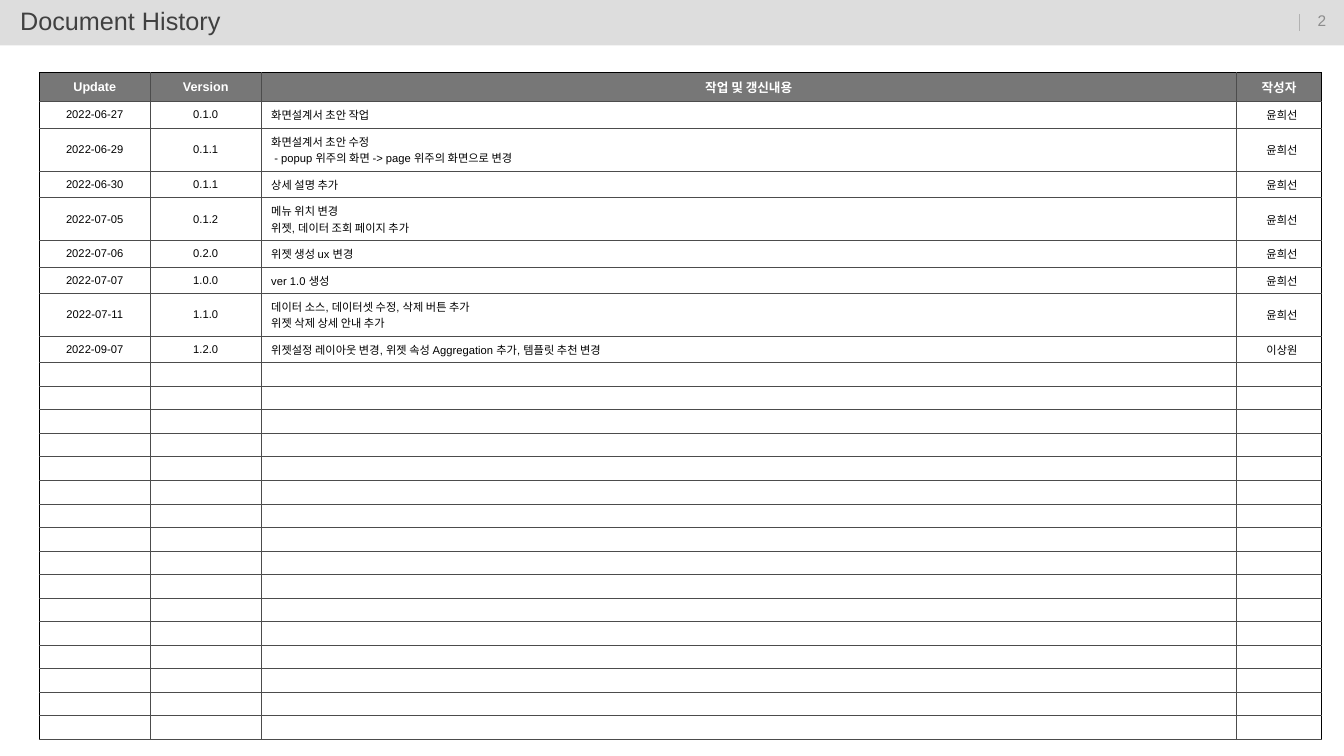
import dataclasses

import lxml.etree
import pptx
import pptx.dml.color
import pptx.enum.shapes
import pptx.enum.text
import pptx.oxml.ns
import pptx.util

HEADING = "Document History"
PAGE_NUMBER = "2"
COLUMNS = [("Update", 1.1), ("Version", 1.1), ("작업 및 갱신내용", 9.67), ("작성자", 0.85)]
REVISIONS = [
    ("2022-06-27", "0.1.0", "화면설계서 초안 작업", "윤희선"),
    ("2022-06-29", "0.1.1", "화면설계서 초안 수정\n - popup 위주의 화면 -> page 위주의 화면으로 변경", "윤희선"),
    ("2022-06-30", "0.1.1", "상세 설명 추가", "윤희선"),
    ("2022-07-05", "0.1.2", "메뉴 위치 변경\n위젯, 데이터 조회 페이지 추가", "윤희선"),
    ("2022-07-06", "0.2.0", "위젯 생성 ux 변경", "윤희선"),
    ("2022-07-07", "1.0.0", "ver 1.0 생성", "윤희선"),
    ("2022-07-11", "1.1.0", "데이터 소스, 데이터셋 수정, 삭제 버튼 추가\n위젯 삭제 상세 안내 추가", "윤희선"),
    ("2022-09-07", "1.2.0", "위젯설정 레이아웃 변경, 위젯 속성 Aggregation 추가, 템플릿 추천 변경", "이상원"),
]
BLANK_ROWS = 16
DETAIL, AUTHOR = 2, 3
HEADER_HEIGHT, BLANK_HEIGHT = 0.29, 0.23
LINE_HEIGHTS = {1: 0.26, 2: 0.43}


@dataclasses.dataclass(frozen=True)
class Theme:
    font: str = "Arial"
    bar: str = "DDDDDD"
    divider: str = "B2B2B2"
    number: str = "8C8C8C"
    heading: str = "404040"
    header_fill: str = "777777"
    header_text: str = "FFFFFF"
    text: str = "000000"
    outer_border: str = "000000"
    inner_border: str = "4C4C4C"
    border_width: float = 0.75
    heading_size: int = 18
    number_size: int = 11
    header_size: int = 9
    body_size: int = 8


THEME = Theme()
Inches = pptx.util.Inches
Pt = pptx.util.Pt
ALIGN = pptx.enum.text.PP_ALIGN
MIDDLE = pptx.enum.text.MSO_ANCHOR.MIDDLE
qn = pptx.oxml.ns.qn


def rgb(value):
    return pptx.dml.color.RGBColor.from_string(value)


def style(paragraph, size, color, align, bold=False):
    paragraph.alignment = align
    paragraph.font.name = THEME.font
    paragraph.font.size = Pt(size)
    paragraph.font.color.rgb = rgb(color)
    paragraph.font.bold = bold


def set_insets(target, left, top, right, bottom):
    target.margin_left, target.margin_top = Inches(left), Inches(top)
    target.margin_right, target.margin_bottom = Inches(right), Inches(bottom)


def draw_border(cell, side, color):
    properties = cell._tc.get_or_add_tcPr()
    edge = lxml.etree.SubElement(properties, qn(f"a:ln{side}"), w=str(Pt(THEME.border_width)))
    fill = lxml.etree.SubElement(edge, qn("a:solidFill"))
    lxml.etree.SubElement(fill, qn("a:srgbClr"), val=color)


def add_heading(slide):
    bar = slide.shapes.add_shape(
        pptx.enum.shapes.MSO_SHAPE.RECTANGLE, 0, 0, Inches(13.33), Inches(0.45))
    bar.shadow.inherit = False
    bar.fill.solid()
    bar.fill.fore_color.rgb = rgb(THEME.bar)
    bar.line.fill.background()

    heading = slide.shapes.title
    heading._element.addprevious(bar._element)
    heading.left, heading.top = 0, 0
    heading.width, heading.height = Inches(12.01), Inches(0.45)
    frame = heading.text_frame
    frame.text = HEADING
    frame.auto_size = pptx.enum.text.MSO_AUTO_SIZE.NONE
    frame.vertical_anchor = MIDDLE
    set_insets(frame, 0.2, 0.05, 0.1, 0.05)
    style(frame.paragraphs[0], THEME.heading_size, THEME.heading, ALIGN.LEFT)
    frame.paragraphs[0].line_spacing = 0.9


def add_page_number(slide):
    divider = slide.shapes.add_connector(
        pptx.enum.shapes.MSO_CONNECTOR.STRAIGHT,
        Inches(12.89), Inches(0.14), Inches(12.89), Inches(0.31))
    divider.line.color.rgb = rgb(THEME.divider)
    divider.line.width = Pt(THEME.border_width)
    lxml.etree.SubElement(divider._element.spPr, qn("a:effectLst"))

    number = slide.shapes.add_textbox(Inches(12.89), 0, Inches(0.44), Inches(0.4))
    number.text_frame.word_wrap = True
    number.text_frame.vertical_anchor = MIDDLE
    number.text_frame.text = PAGE_NUMBER
    style(number.text_frame.paragraphs[0], THEME.number_size, THEME.number, ALIGN.CENTER)


def fill_cell(cell, text, row, column, last_row):
    is_header = row == 0
    cell.text = text
    cell.vertical_anchor = MIDDLE
    if column == AUTHOR:
        side = 0.1 if is_header else 0
        set_insets(cell, side, 0, side, 0)
    else:
        set_insets(cell, 0.1, 0.05, 0.1, 0.05)

    outer_edges = {"L": column == 0, "R": column == AUTHOR, "T": is_header, "B": row == last_row}
    for edge in "LRTB":
        outer = outer_edges[edge] and edge != "B"
        draw_border(cell, edge, THEME.outer_border if outer else THEME.inner_border)
    if is_header:
        cell.fill.solid()
        cell.fill.fore_color.rgb = rgb(THEME.header_fill)
    else:
        cell.fill.background()

    for paragraph in cell.text_frame.paragraphs:
        if is_header:
            style(paragraph, THEME.header_size, THEME.header_text, ALIGN.CENTER, True)
            continue
        align = ALIGN.LEFT if column == DETAIL else ALIGN.CENTER
        style(paragraph, THEME.body_size, THEME.text, align)
        if column == AUTHOR:
            indents = paragraph._p.get_or_add_pPr()
            indents.set("marL", str(Inches(0.09)))
            indents.set("indent", str(Inches(-0.03)))
        if not text:
            lxml.etree.SubElement(
                paragraph._p, qn("a:endParaRPr"), sz=str(THEME.body_size * 100))


def add_history(slide):
    rows = [tuple(label for label, _ in COLUMNS), *REVISIONS]
    rows += [("",) * len(COLUMNS)] * BLANK_ROWS
    heights = [HEADER_HEIGHT]
    heights += [LINE_HEIGHTS[len(revision[DETAIL].split("\n"))] for revision in REVISIONS]
    heights += [BLANK_HEIGHT] * BLANK_ROWS
    widths = [width for _, width in COLUMNS]
    history = slide.shapes.add_table(
        len(rows), len(COLUMNS), Inches(0.39), Inches(0.72),
        Inches(sum(widths)), Inches(sum(heights))).table
    history.horz_banding = False
    for column, width in zip(history.columns, widths):
        column.width = Inches(width)
    for row, height in zip(history.rows, heights):
        row.height = Inches(height)
    for row, texts in enumerate(rows):
        for column, text in enumerate(texts):
            fill_cell(history.cell(row, column), text, row, column, len(rows) - 1)


def main():
    deck = pptx.Presentation()
    deck.slide_width, deck.slide_height = Inches(13.33), Inches(7.5)
    slide = deck.slides.add_slide(deck.slide_layouts[5])
    add_heading(slide)
    add_page_number(slide)
    add_history(slide)
    deck.save("out.pptx")


if __name__ == "__main__":
    main()
